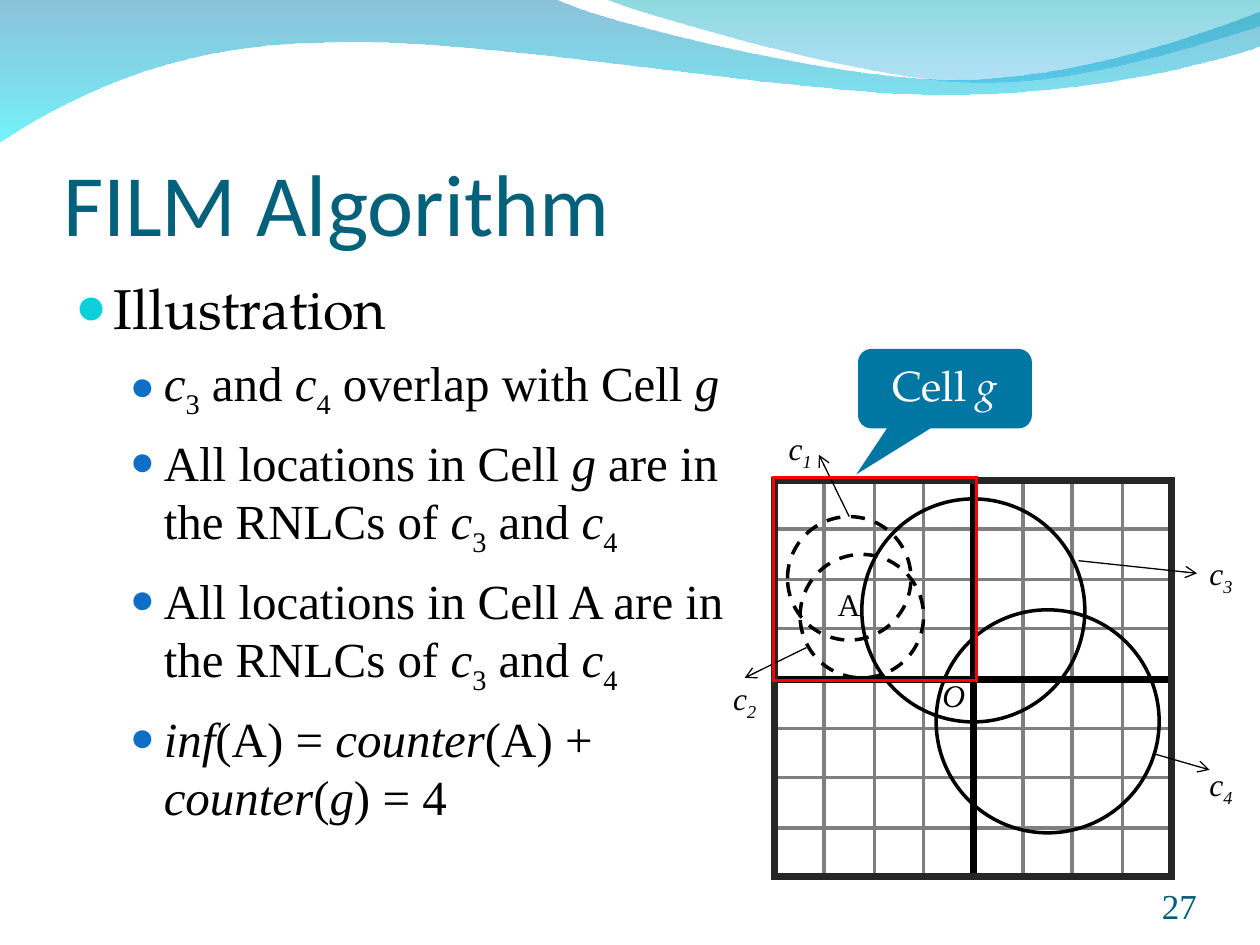
from lxml.etree import SubElement
from pptx import Presentation
from pptx.dml.color import RGBColor
from pptx.enum.dml import MSO_LINE
from pptx.enum.shapes import MSO_CONNECTOR, MSO_SHAPE
from pptx.enum.text import MSO_ANCHOR, MSO_AUTO_SIZE, PP_ALIGN
from pptx.oxml.ns import qn
from pptx.util import Pt

PX = 9144  # EMU per px, 100 px to the inch
SERIF, ROMAN, SANS = "TeX Gyre Pagella", "Times New Roman", "Calibri"
BLACK = RGBColor(0x00, 0x00, 0x00)
WHITE = RGBColor(0xFF, 0xFF, 0xFF)
RED = RGBColor(0xFF, 0x00, 0x00)
GRID_GRAY = RGBColor(0x7F, 0x7F, 0x7F)
QUAD_GRAY = RGBColor(0x59, 0x59, 0x59)
FRAME_GRAY = RGBColor(0x26, 0x26, 0x26)
TITLE_TEAL = RGBColor(0x04, 0x61, 0x7B)
NUMBER_TEAL = RGBColor(0x04, 0x5C, 0x75)
CALLOUT_BLUE = RGBColor(0x00, 0x76, 0xA3)
BULLET_CYAN = RGBColor(0x0B, 0xD0, 0xD9)
BULLET_BLUE = RGBColor(0x0F, 0x6F, 0xC6)
WAVE_BLUE = RGBColor(0x00, 0x79, 0xAF)
WAVE_CYAN = RGBColor(0x00, 0xEB, 0xF8)
WAVE_TEAL = RGBColor(0x00, 0xAD, 0xB6)
WAVE_SKY = RGBColor(0x00, 0x9B, 0xE5)

GRID_LEFT, GRID_TOP, GRID_SIZE, CELLS = 615, 381, 315, 8


def write(para, text, *, size, font=ROMAN, color=BLACK, align=None):
    """Fill para with spans split at "|"; a leading "/" is italic, "_" subscript."""
    if align is not None:
        para.alignment = align
    for part in text.split("|"):
        italic = part.startswith("/")
        part = part.removeprefix("/")
        span = para.add_run()
        span.text = part.removeprefix("_")
        span.font.size = Pt(size)
        span.font.name = font
        span.font.italic = italic
        span.font.color.rgb = color
        if part.startswith("_"):
            span.font._element.set("baseline", "-25000")


def add_bullet(para, color, percent, margin, hanging):
    props = para._p.get_or_add_pPr()
    props.set("marL", str(margin * PX))
    props.set("indent", str(-hanging * PX))
    tint = SubElement(props, qn("a:buClr"))
    SubElement(tint, qn("a:srgbClr"), val=str(color))
    SubElement(props, qn("a:buSzPct"), val=str(percent * 1000))
    SubElement(props, qn("a:buFont"), typeface=ROMAN)
    SubElement(props, qn("a:buChar"), char="●")


def bend(shape, segments):
    """Turn each run of three line ends that forms a cubic segment into a curve."""
    lines = iter(list(shape._element.iter(qn("a:lnTo"))))
    for segment in segments:
        ends = [next(lines) for _ in segment]
        if len(ends) == 3:
            curve = SubElement(ends[0].getparent(), qn("a:cubicBezTo"))
            ends[0].addprevious(curve)
            for end in ends:
                curve.append(end[0])
                end.getparent().remove(end)


class Slide:
    """Holds the current page and the common look of its elements."""

    def __init__(self, page):
        self.page = page
        self.shapes = page.shapes

    def place(self, box, left, top, width, height):
        box.left, box.top, box.width, box.height = (
            v * PX for v in (left, top, width, height))

    def wave(self, start, segments, stops):
        """Background wave of lines and cubics; stops are (colour, opacity percent)."""
        builder = self.shapes.build_freeform(*start, scale=PX)
        builder.add_line_segments([point for segment in segments for point in segment])
        wave = builder.convert_to_shape()
        bend(wave, segments)
        wave.shadow.inherit = False
        wave.line.fill.background()
        wave.fill.gradient()
        wave.fill.gradient_angle = 270
        for stop, (color, opacity) in zip(wave.fill.gradient_stops, stops):
            stop.color.rgb = color
            tint = stop._gs.find(qn("a:srgbClr"))
            SubElement(tint, qn("a:alpha"), val=str(opacity * 1000))
        return wave

    def send_to_back(self, *items):
        for position, item in enumerate(items, start=2):
            self.shapes._spTree.insert(position, item._element)

    def title(self, text, *area):
        box = self.shapes.title
        self.place(box, *area)
        frame = box.text_frame
        frame.auto_size = MSO_AUTO_SIZE.NONE
        frame.vertical_anchor = MSO_ANCHOR.BOTTOM
        frame.margin_left = frame.margin_right = frame.margin_bottom = 0
        write(frame.paragraphs[0], text, size=50, font=SANS, color=TITLE_TEAL,
              align=PP_ALIGN.LEFT)

    def body(self, heading, items, *area):
        box = self.page.placeholders[1]
        self.place(box, *area)
        frame = box.text_frame
        frame.auto_size = MSO_AUTO_SIZE.NONE
        first = frame.paragraphs[0]
        add_bullet(first, BULLET_CYAN, 95, 30, 30)
        first.space_before = Pt(0)
        write(first, heading, size=32, font=SERIF)
        for item in items:
            para = frame.add_paragraph()
            para.level = 1
            add_bullet(para, BULLET_BLUE, 85, 70, 27)
            para.space_before = Pt(7)
            write(para, item, size=28)

    def page_number(self, text, *area):
        box = self.shapes.add_textbox(*(v * PX for v in area))
        frame = box.text_frame
        frame.word_wrap = True
        frame.vertical_anchor = MSO_ANCHOR.BOTTOM
        frame.margin_left = frame.margin_right = frame.margin_top = frame.margin_bottom = 0
        write(frame.paragraphs[0], text, size=20, color=NUMBER_TEAL, align=PP_ALIGN.RIGHT)

    def label(self, text, left, top, width=38, height=44):
        box = self.shapes.add_textbox(*(v * PX for v in (left, top, width, height)))
        box.text_frame.word_wrap = True
        box.text_frame.margin_right = 0
        write(box.text_frame.paragraphs[0], text, size=18)

    def outline(self, kind, left, top, width, height, color=BLACK, weight=2, dash=None):
        shape = self.shapes.add_shape(kind, *(v * PX for v in (left, top, width, height)))
        shape.shadow.inherit = False
        shape.fill.background()
        shape.line.color.rgb = color
        shape.line.width = Pt(weight)
        if dash is not None:
            shape.line.dash_style = dash
        SubElement(shape.line._get_or_add_ln(), qn("a:miter"), lim="800000")

    def cells(self, column, row, span, color, weight):
        """Outline a square of span cells on the grid."""
        left, right, top, bottom = (round(GRID_SIZE * edge / CELLS) for edge in (
            column, column + span, row, row + span))
        self.outline(MSO_SHAPE.RECTANGLE, GRID_LEFT + left, GRID_TOP + top,
                     right - left, bottom - top, color, weight)

    def circle(self, left, top, size, dash=None):
        self.outline(MSO_SHAPE.OVAL, left, top, size, size, dash=dash)

    def arrow(self, *ends):
        line = self.shapes.add_connector(MSO_CONNECTOR.STRAIGHT, *(v * PX for v in ends))
        line.line.color.rgb = BLACK
        line.line.width = Pt(0.75)
        SubElement(line.line._get_or_add_ln(), qn("a:tailEnd"), type="arrow")
        SubElement(line._element.spPr, qn("a:effectLst"))

    def callout(self, text, *area):
        shape = self.shapes.add_shape(MSO_SHAPE.ROUNDED_RECTANGULAR_CALLOUT,
                                      *(v * PX for v in area))
        shape.adjustments[0], shape.adjustments[1] = -0.51, 1.08
        shape.shadow.inherit = False
        shape.fill.solid()
        shape.fill.fore_color.rgb = CALLOUT_BLUE
        shape.line.fill.background()
        shape.text_frame.vertical_anchor = MSO_ANCHOR.TOP
        write(shape.text_frame.paragraphs[0], text, size=24, font=SERIF, color=WHITE,
              align=PP_ALIGN.CENTER)


def main():
    deck = Presentation()
    deck.slide_width, deck.slide_height = 1000 * PX, 750 * PX
    slide = Slide(deck.slides.add_slide(deck.slide_layouts[1]))

    long_wave = slide.wave((0, -1), [
        [(440, -1)], [(476, 17), (664, 63), (758, 63)], [(853, 63), (958, 26), (1000, 9)],
        [(1001, 36)], [(983, 44), (870, 76), (746, 75)], [(622, 75), (382, 28), (257, 34)],
        [(129, 35), (46, 83), (-1, 113)],
    ], [(WAVE_BLUE, 45), (WAVE_CYAN, 55)])
    right_wave = slide.wave((479, -1), [
        [(509, 11), (682, 62), (769, 65)], [(856, 69), (961, 32), (1000, 21)], [(1000, 0)],
    ], [(WAVE_TEAL, 45), (WAVE_SKY, 30)])
    slide.send_to_back(long_wave, right_wave)

    slide.title("FILM Algorithm", 50, 77, 900, 125)
    slide.page_number("27", 867, 695, 83, 40)
    customers = "/c|_3| and |/c|_4"
    slide.body("Illustration", [
        f"{customers}| overlap with Cell |/g",
        f"All locations in Cell |/g| are in the RNLCs of |{customers}",
        f"All locations in Cell A are in the RNLCs of |{customers}",
        "/inf|(A) = |/counter|(A) + |/counter|(|/g|) = 4",
    ], 50, 212, 544, 478)

    for row in range(CELLS):
        for column in range(CELLS):
            slide.cells(column, row, 1, GRID_GRAY, 2)
    half = CELLS // 2
    slide.cells(half, half, half, QUAD_GRAY, 3)
    for column, row in ((half, 0), (0, half), (0, 0)):
        slide.cells(column, row, half, BLACK, 4)
    slide.cells(0, 0, CELLS, FRAME_GRAY, 4)

    slide.label("/O", 738, 532, height=40)
    slide.label("A", 655, 459, height=40)
    slide.circle(743, 484, 177)
    slide.circle(635, 440, 98, MSO_LINE.DASH)
    slide.circle(625, 410, 98, MSO_LINE.DASH)
    slide.circle(684, 396, 177)
    slide.arrow(674, 410, 650, 361)
    slide.arrow(640, 514, 591, 538)
    slide.arrow(856, 445, 950, 455)
    slide.arrow(915, 598, 960, 611)
    for index, (left, top) in enumerate(((616, 336), (572, 534), (950, 435), (950, 602)), 1):
        slide.label(f"/c|/_{index}", left, top)
    slide.outline(MSO_SHAPE.RECTANGLE, 614, 379, 161, 161, RED)
    slide.callout("Cell |/g", 681, 277, 138, 63)

    deck.save("out.pptx")


if __name__ == "__main__":
    main()
